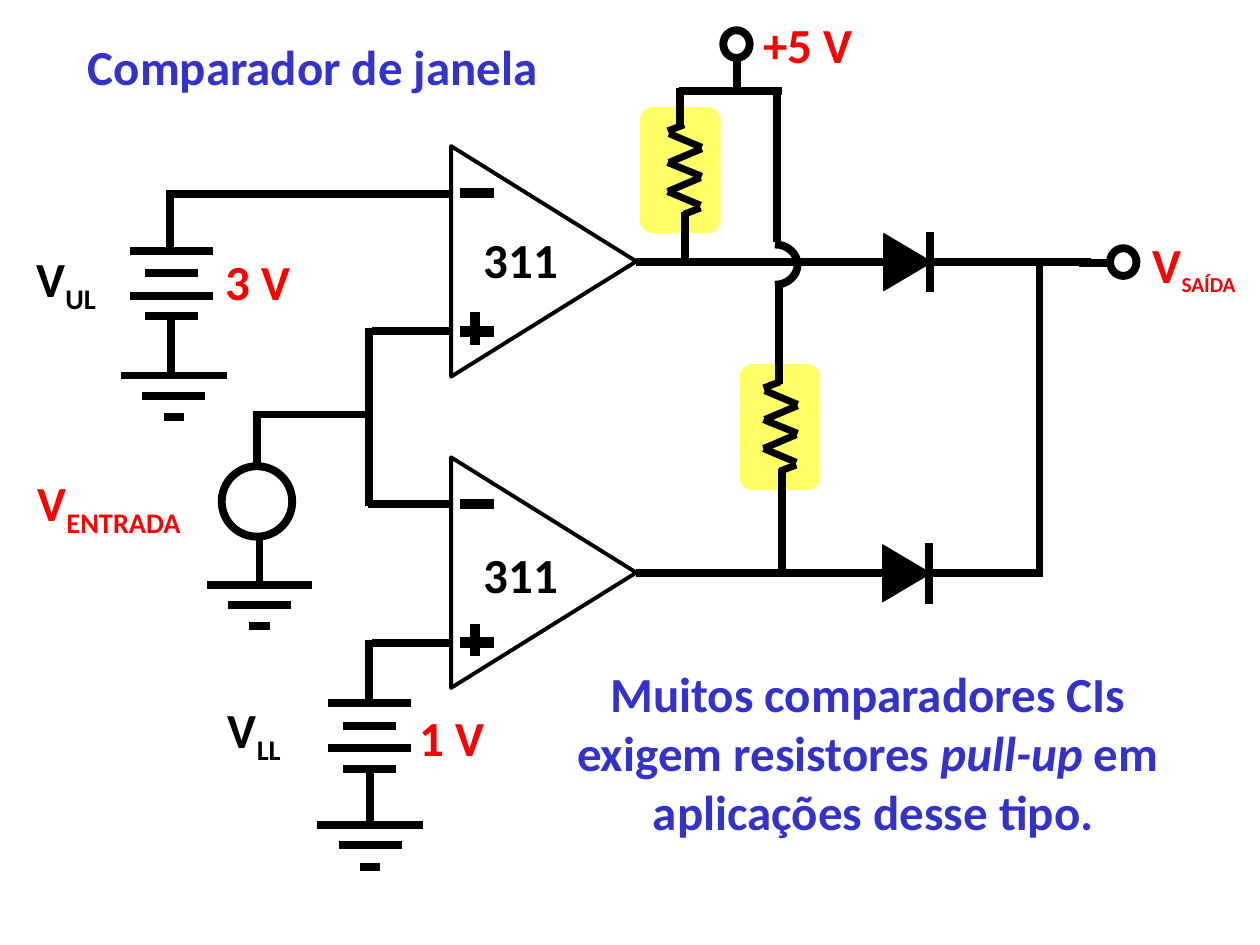
import math
from lxml import etree
from pptx import Presentation
from pptx import util as u
from pptx.dml.color import RGBColor
from pptx.enum import shapes, text
from pptx.oxml import ns

BLACK = RGBColor(0, 0, 0)
RED = RGBColor(0xFF, 0, 0)
BLUE = RGBColor(0x33, 0x33, 0xCC)
YELLOW = RGBColor(0xFF, 0xFF, 0x66)
KIND = shapes.MSO_SHAPE

deck = Presentation()
deck.slide_width, deck.slide_height = u.Inches(10), u.Inches(7.5)
slide = deck.slides.add_slide(deck.slide_layouts[6])
tree = slide.shapes


def wire(x1, y1, x2, y2, width=4.5):
    ends = [u.Inches(v) for v in (x1, y1, x2, y2)]
    line = tree.add_connector(shapes.MSO_CONNECTOR.STRAIGHT, *ends)
    line.line.color.rgb = BLACK
    line.line.width = u.Pt(width)
    etree.SubElement(line._element.spPr, ns.qn("a:effectLst"))


def form(kind, box, fill=None, width=None, turn=0):
    item = tree.add_shape(kind, *[u.Inches(v) for v in box])
    item.shadow.inherit = False
    item.rotation = turn
    if fill is None:
        item.fill.background()
    else:
        item.fill.solid()
        item.fill.fore_color.rgb = fill
    if width is None:
        item.line.fill.background()
    else:
        item.line.color.rgb = BLACK
        item.line.width = u.Pt(width)
    return item


for left, top in [(5.08, 0.85), (5.87, 2.89)]:
    pad = form(KIND.ROUNDED_RECTANGLE, (left, top, 0.64, 1), YELLOW)
    pad.adjustments[0] = 0.16

for mid in (2.08, 4.55):
    form(KIND.ISOSCELES_TRIANGLE, (3.4, mid - 0.74, 1.83, 1.47), None, 2.25, 90)
    wire(3.65, mid - 0.55, 3.92, mid - 0.55, 6)
    wire(3.65, mid + 0.55, 3.92, mid + 0.55, 6)
    wire(3.77, mid + 0.66, 3.77, mid + 0.4, 6)
    wire(3.58, mid + 0.55, 2.95, mid + 0.55)

for tip, mid in [(7.38, 2.08), (7.37, 4.55)]:
    form(KIND.ISOSCELES_TRIANGLE, (tip - 0.4, mid - 0.19, 0.45, 0.38), BLACK, 0.75, 90)
    wire(tip, mid - 0.24, tip, mid + 0.24)

zigzag = [
    (0.13, 0, 0, 0.05), (0.01, 0.07, 0.27, 0.18), (0.27, 0.19, 0.01, 0.3),
    (0, 0.3, 0.27, 0.41), (0.26, 0.42, 0, 0.53), (0, 0.53, 0.26, 0.64),
    (0.26, 0.66, 0.13, 0.71),
]
for left, top in [(5.3, 0.99), (6.06, 3.03)]:
    for x1, y1, x2, y2 in zigzag:
        wire(left + x1, top + y1, left + x2, top + y2, 4)

ground = [(0.42, 0), (0.25, 0.16), (0.08, 0.33)]
cell = [(0.33, 0), (0.21, 0.18), (0.33, 0.36), (0.21, 0.52)]
stacks = [
    (ground, 1.38, 2.98), (ground, 2.06, 4.64), (ground, 2.94, 6.55),
    (cell, 1.36, 1.99), (cell, 2.93, 5.58),
]
for bars, mid, top in stacks:
    for half, drop in bars:
        wire(mid - half, top + drop, mid + half, top + drop)

wires = [
    (5.05, 2.08, 8.66, 2.08), (5.05, 4.55, 8.26, 4.55),
    (1.38, 1.54, 3.57, 1.54), (2.92, 4, 3.57, 4),
    (2.92, 3.29, 2.06, 3.29), (2.06, 4.63, 2.06, 4.25),
    (2.04, 3.26, 2.04, 3.7), (2.93, 5.08, 2.93, 5.55),
    (2.94, 6.11, 2.94, 6.58), (1.36, 2.51, 1.36, 2.97),
    (1.35, 1.51, 1.35, 1.97), (8.25, 4.58, 8.25, 2.07),
    (5.44, 1.68, 5.44, 2.09), (6.18, 2.25, 6.18, 3.05),
    (6.21, 3.72, 6.21, 4.55), (6.17, 1.92, 6.17, 0.74),
    (6.21, 0.72, 5.39, 0.72), (5.85, 0.71, 5.85, 0.48),
    (8.56, 2.09, 8.8, 2.09), (5.4, 0.7, 5.4, 1.02),
    (2.93, 2.6, 2.93, 4.02),
]
for ends in wires:
    wire(*ends)

for box in [(1.76, 3.7, 0.56, 0.56), (5.74, 0.24, 0.21, 0.22), (8.81, 1.97, 0.21, 0.22)]:
    form(KIND.OVAL, box, None, 4.5)

turns = [math.pi * (step / 16 - 0.5) for step in range(17)]
arc = [(u.Inches(6.15 + 0.18 * math.cos(a)), u.Inches(2.1 + 0.16 * math.sin(a))) for a in turns]
pen = tree.build_freeform(*arc[0])
pen.add_line_segments(arc[1:], close=False)
hop = pen.convert_to_shape()
hop.shadow.inherit = False
hop.fill.background()
hop.line.color.rgb = BLACK
hop.line.width = u.Pt(4.5)

SUB = {"sub": True}
labels = [
    ((0.2, 3.7, 1.34, 0.63), RED, [[("V", {}), ("ENTRADA", SUB)]]),
    ((9.05, 1.81, 0.86, 0.6), RED, [[("V", {}), ("SAÍDA", {"sub": True, "size": u.Pt(21)})]]),
    ((5.96, 0.07, 0.91, 0.57), RED, [[("+5 V", {})]]),
    ((1.69, 1.95, 0.75, 0.57), RED, [[("3 V", {})]]),
    ((3.23, 5.57, 0.75, 0.57), RED, [[("1 V", {})]]),
    ((0.6, 0.24, 3.77, 0.57), BLUE, [[("Comparador de janela", {})]]),
    ((3.74, 4.27, 0.79, 0.57), BLACK, [[("311", {})]]),
    ((3.74, 1.77, 0.79, 0.57), BLACK, [[("311", {})]]),
    ((0.19, 1.92, 0.67, 0.63), BLACK, [[("V", {}), ("UL", SUB)]]),
    ((1.71, 5.5, 0.62, 0.63), BLACK, [[("V", {}), ("LL", SUB)]]),
    ((4.47, 5.22, 4.92, 1.5), BLUE, [
        [("Muitos comparadores CIs ", {})],
        [("exigem resistores ", {}), ("pull-up", {"italic": True}), (" em ", {})],
        [("aplicações desse tipo.", {})],
    ]),
]
base = {"name": "Calibri", "size": u.Pt(28), "bold": True}
for box, ink, lines in labels:
    frame = tree.add_textbox(*[u.Inches(v) for v in box]).text_frame
    frame.word_wrap = False
    frame.auto_size = text.MSO_AUTO_SIZE.SHAPE_TO_FIT_TEXT
    for index, parts in enumerate(lines):
        para = frame.add_paragraph() if index else frame.paragraphs[0]
        if len(lines) > 1:
            para.alignment = text.PP_ALIGN.CENTER
        for words, style in parts:
            run = para.add_run()
            run.text = words
            run.font.color.rgb = ink
            for key, value in {**base, **style}.items():
                if key == "sub":
                    run._r.get_or_add_rPr().set("baseline", "-25000")
                else:
                    setattr(run.font, key, value)

deck.save("out.pptx")
